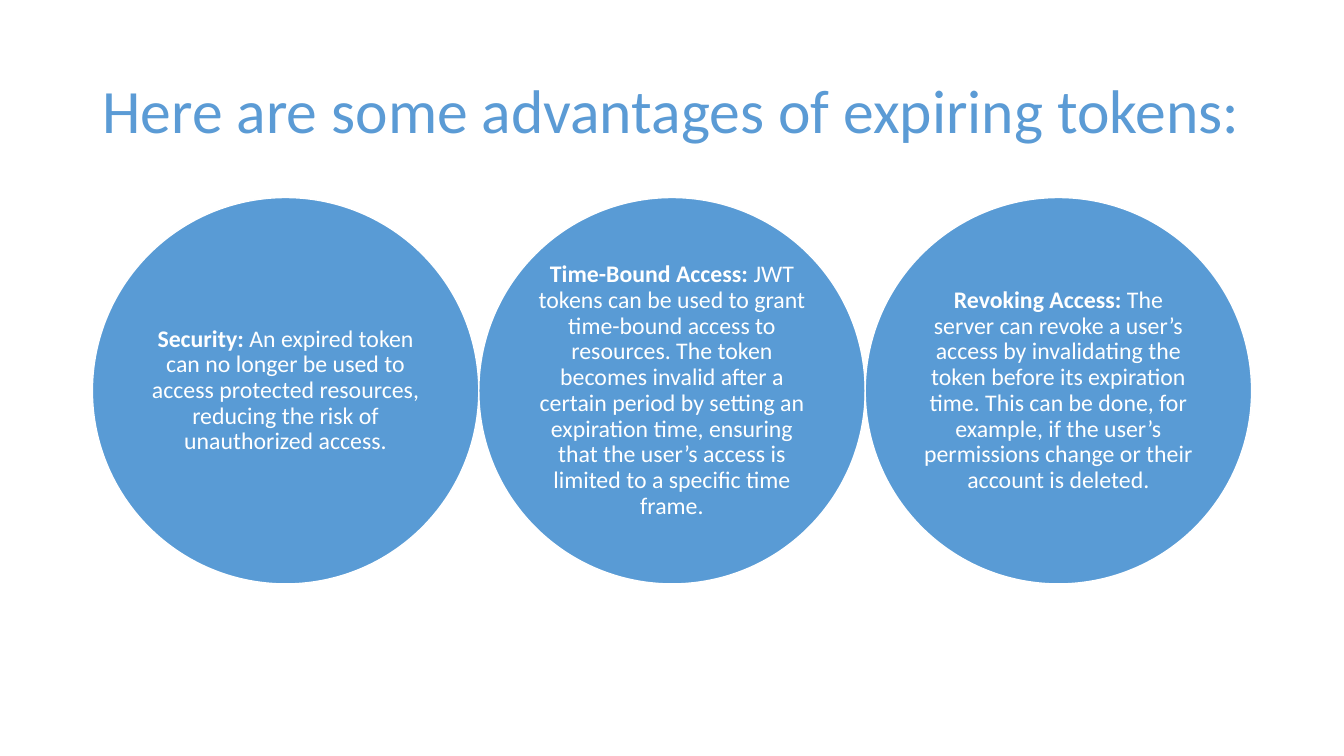
from dataclasses import dataclass

from pptx import Presentation
from pptx.dml.color import RGBColor
from pptx.enum.shapes import MSO_SHAPE
from pptx.enum.text import MSO_ANCHOR, MSO_AUTO_SIZE, PP_ALIGN
from pptx.slide import Slide
from pptx.text.text import TextFrame, _Paragraph
from pptx.util import Pt

TITLE_BLUE = RGBColor(0x5B, 0x9B, 0xD5)
CIRCLE_BLUE = RGBColor(0x59, 0x9B, 0xD5)
WHITE = RGBColor(0xFF, 0xFF, 0xFF)

FONT = "Calibri"
CONTENT_LEFT = 66
CONTENT_WIDTH = 828
CIRCLES_TOP = 141.1


@dataclass(frozen=True)
class Advantage:
    heading: str
    explanation: str


ADVANTAGES = [
    Advantage(
        "Security:",
        " An expired token can no longer be used to access protected resources, "
        "reducing the risk of unauthorized access.",
    ),
    Advantage(
        "Time-Bound Access:",
        " JWT tokens can be used to grant time-bound access to resources. "
        "The token becomes invalid after a certain period by setting an "
        "expiration time, ensuring that the user’s access is limited to a "
        "specific time frame.",
    ),
    Advantage(
        "Revoking Access:",
        " The server can revoke a user’s access by invalidating the token "
        "before its expiration time. This can be done, for example, if the "
        "user’s permissions change or their account is deleted.",
    ),
]


def add_run(paragraph: _Paragraph, text: str, size: float,
            color: RGBColor, bold: bool = False) -> None:
    run = paragraph.add_run()
    run.text = text
    run.font.name = FONT
    run.font.size = Pt(size)
    run.font.bold = bold
    run.font.color.rgb = color


def prepare_paragraph(frame: TextFrame, alignment: PP_ALIGN,
                      inset_x: float, inset_y: float) -> _Paragraph:
    frame.word_wrap = True
    frame.auto_size = MSO_AUTO_SIZE.NONE
    frame.vertical_anchor = MSO_ANCHOR.MIDDLE
    frame.margin_left = frame.margin_right = Pt(inset_x)
    frame.margin_top = frame.margin_bottom = Pt(inset_y)
    paragraph = frame.paragraphs[0]
    paragraph.alignment = alignment
    paragraph.line_spacing = 0.9
    paragraph.space_before = Pt(0)
    return paragraph


def fill_title(slide: Slide) -> None:
    title = slide.shapes.title
    title.left, title.top = Pt(CONTENT_LEFT), Pt(28.75)
    title.width, title.height = Pt(CONTENT_WIDTH), Pt(104.4)
    paragraph = prepare_paragraph(title.text_frame, PP_ALIGN.LEFT, 7.2, 3.6)
    add_run(paragraph, "Here are some advantages of expiring tokens:", 44, TITLE_BLUE)


def add_advantage(slide: Slide, advantage: Advantage,
                  left: float, diameter: float) -> None:
    circle = slide.shapes.add_shape(
        MSO_SHAPE.OVAL, Pt(left), Pt(CIRCLES_TOP), Pt(diameter), Pt(diameter)
    )
    circle.shadow.inherit = False
    circle.fill.solid()
    circle.fill.fore_color.rgb = CIRCLE_BLUE
    circle.line.color.rgb = WHITE
    circle.line.width = Pt(1)
    paragraph = prepare_paragraph(circle.text_frame, PP_ALIGN.CENTER, 0, 0)
    add_run(paragraph, advantage.heading, 17, WHITE, bold=True)
    add_run(paragraph, advantage.explanation, 17, WHITE)


def main() -> None:
    presentation = Presentation()
    presentation.slide_width = Pt(960)
    presentation.slide_height = Pt(540)
    title_only = presentation.slide_layouts[5]
    slide = presentation.slides.add_slide(title_only)
    fill_title(slide)
    diameter = CONTENT_WIDTH / len(ADVANTAGES)
    for index, advantage in enumerate(ADVANTAGES):
        add_advantage(slide, advantage, CONTENT_LEFT + index * diameter, diameter)
    presentation.save("out.pptx")


if __name__ == "__main__":
    main()
